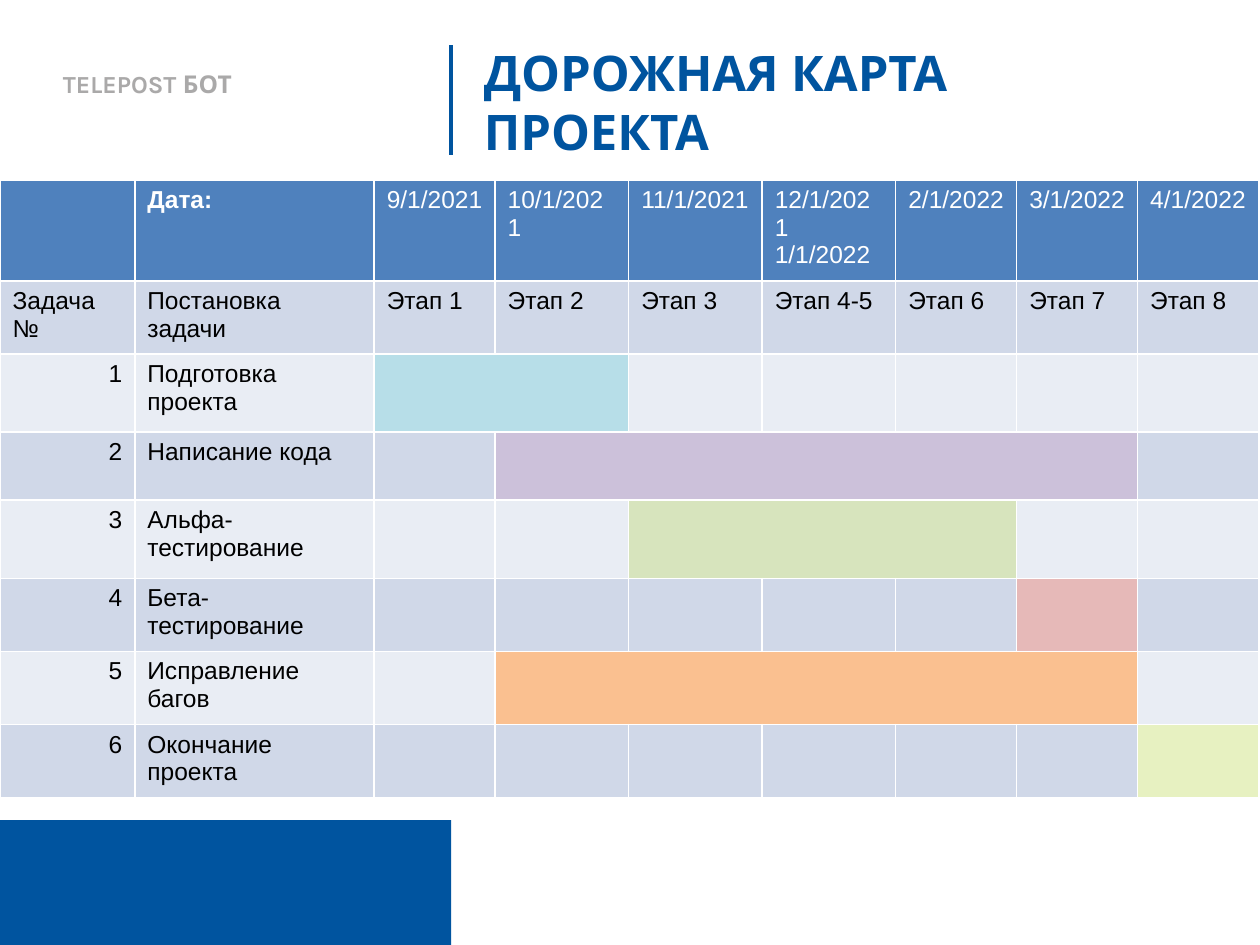
"""Build the project roadmap slide with its stage table."""
import pptx
import pptx.dml.color
import pptx.enum.shapes
import pptx.enum.text
import pptx.oxml
import pptx.util
from pptx.util import Inches

RGBColor = pptx.dml.color.RGBColor
NAVY = RGBColor(0x00, 0x54, 0x9F)
GRAY = RGBColor(0xAA, 0xA9, 0xA9)
WHITE = RGBColor(0xFF, 0xFF, 0xFF)
BLACK = RGBColor(0x00, 0x00, 0x00)
HEADER = RGBColor(0x4F, 0x81, 0xBD)
BAND_DARK = RGBColor(0xD0, 0xD8, 0xE8)
BAND_LIGHT = RGBColor(0xE9, 0xED, 0xF4)
AQUA = RGBColor(0xB7, 0xDE, 0xE8)
LILAC = RGBColor(0xCC, 0xC1, 0xDA)
GREEN = RGBColor(0xD7, 0xE4, 0xBD)
ROSE = RGBColor(0xE6, 0xB9, 0xB8)
ORANGE = RGBColor(0xFA, 0xC0, 0x90)
LIME = RGBColor(0xE7, 0xF1, 0xC1)

LEFT = pptx.enum.text.PP_ALIGN.LEFT
RIGHT = pptx.enum.text.PP_ALIGN.RIGHT
COLUMN_WIDTHS = [1.07, 1.9, 0.96, 1.06, 1.06, 1.06, 0.96, 0.96, 0.96]
ROW_HEIGHTS = [0.58, 0.58, 0.62, 0.54, 0.62, 0.58, 0.58, 0.58]
DATES = ["", "Дата:", "9/1/2021", "10/1/2021", "11/1/2021",
         "12/1/2021\v1/1/2022", "2/1/2022", "3/1/2022", "4/1/2022"]
STAGES = ["Задача №", "Постановка задачи", "Этап 1", "Этап 2", "Этап 3",
          "Этап 4-5", "Этап 6", "Этап 7", "Этап 8"]
# Each task: name, first column, last column and colour of its bar.
TASKS = [
    ("Подготовка проекта", 2, 3, AQUA),
    ("Написание кода", 3, 7, LILAC),
    ("Альфа-тестирование", 4, 6, GREEN),
    ("Бета-тестирование", 7, 7, ROSE),
    ("Исправление багов", 3, 7, ORANGE),
    ("Окончание проекта", 8, 8, LIME),
]


def set_values(target, values):
    """Set each named attribute of the target."""
    for name, value in values.items():
        setattr(target, name, value)


def write_text(frame, text, color, align=LEFT, **formats):
    """Fill a text frame with one formatted paragraph."""
    para = frame.paragraphs[0]
    para.text = text
    para.alignment = align
    for span in para.runs:
        set_values(span.font, formats)
        span.font.color.rgb = color


def format_box(box, left, top, width, height, inset=0.1):
    """Place a text shape and set its wrapping, anchor and left inset."""
    set_values(box, {"left": Inches(left), "top": Inches(top),
                     "width": Inches(width), "height": Inches(height)})
    set_values(box.text_frame, {
        "word_wrap": True,
        "auto_size": pptx.enum.text.MSO_AUTO_SIZE.SHAPE_TO_FIT_TEXT,
        "vertical_anchor": pptx.enum.text.MSO_ANCHOR.TOP,
        "margin_left": Inches(inset),
    })


def add_divider(page, left, top, bottom):
    """Draw the vertical line beside the title."""
    line = page.shapes.add_connector(
        pptx.enum.shapes.MSO_CONNECTOR.STRAIGHT,
        Inches(left), Inches(top), Inches(left), Inches(bottom))
    line.line.color.rgb = NAVY
    line.line.width = pptx.util.Pt(2.25)
    properties = line.element.spPr
    properties.append(pptx.oxml.parse_xml(
        '<a:effectLst xmlns:a='
        '"http://schemas.openxmlformats.org/drawingml/2006/main"/>'))


def add_block(page, left, top, width, height):
    """Draw a solid rectangle without outline."""
    block = page.shapes.add_shape(
        pptx.enum.shapes.MSO_SHAPE.RECTANGLE,
        Inches(left), Inches(top), Inches(width), Inches(height))
    block.shadow.inherit = False
    block.fill.solid()
    block.fill.fore_color.rgb = NAVY
    block.line.fill.background()


def fill_cell(cell, color):
    """Give a table cell a solid fill."""
    cell.fill.solid()
    cell.fill.fore_color.rgb = color


def add_roadmap(page):
    """Add the table of dates, stages and task bars."""
    rows = [DATES, STAGES] + [
        [str(number), task[0]] + [""] * 7
        for number, task in enumerate(TASKS, 1)]
    table = page.shapes.add_table(
        len(rows), len(COLUMN_WIDTHS), 0, Inches(1.43),
        Inches(sum(COLUMN_WIDTHS)), Inches(sum(ROW_HEIGHTS))).table
    for column, width in zip(table.columns, COLUMN_WIDTHS):
        column.width = Inches(width)
    for row, height in zip(table.rows, ROW_HEIGHTS):
        row.height = Inches(height)

    for r, texts in enumerate(rows):
        band = HEADER if r == 0 else BAND_DARK if r % 2 else BAND_LIGHT
        for c, text in enumerate(texts):
            cell = table.cell(r, c)
            fill_cell(cell, band)
            if text:
                write_text(cell.text_frame, text, BLACK if r else WHITE,
                           RIGHT if r > 1 and c == 0 else LEFT, name="Arial",
                           size=pptx.util.Pt(14), bold=(r == 0 and c == 1))

    for r, (_, first, last, color) in enumerate(TASKS, 2):
        bar = table.cell(r, first)
        if last > first:
            bar.merge(table.cell(r, last))
        fill_cell(bar, color)


def main():
    """Assemble and save the slide."""
    deck = pptx.Presentation()
    set_values(deck, {"slide_width": Inches(10), "slide_height": Inches(7.5)})
    page = deck.slides.add_slide(deck.slide_layouts[5])

    label = page.shapes.add_textbox(0, 0, 0, 0)
    format_box(label, 0.35, 0.5, 3.23, 0.34, inset=0.15)
    write_text(label.text_frame, "TELEPOST БОТ", GRAY, name="Karla",
               size=pptx.util.Pt(14), bold=True)
    add_divider(page, 3.58, 0.36, 1.23)
    title = page.shapes.title
    format_box(title, 3.74, 0.29, 5.35, 1.04)
    write_text(title.text_frame, "ДОРОЖНАЯ КАРТА ПРОЕКТА", NAVY, name="Karla",
               size=pptx.util.Pt(28), bold=True)
    add_block(page, 0, 6.51, 3.58, 0.99)
    add_roadmap(page)
    deck.save("out.pptx")


if __name__ == "__main__":
    main()
